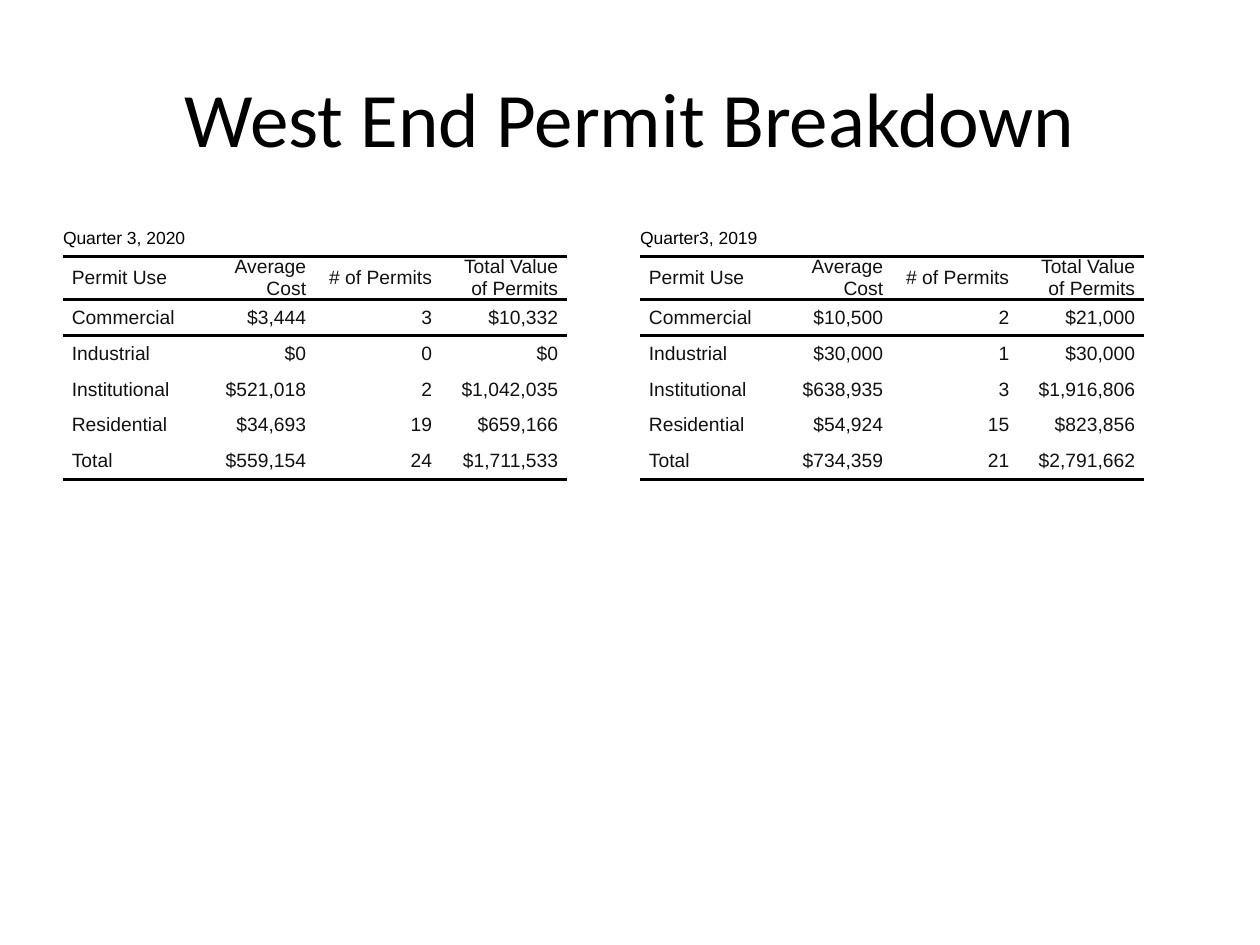
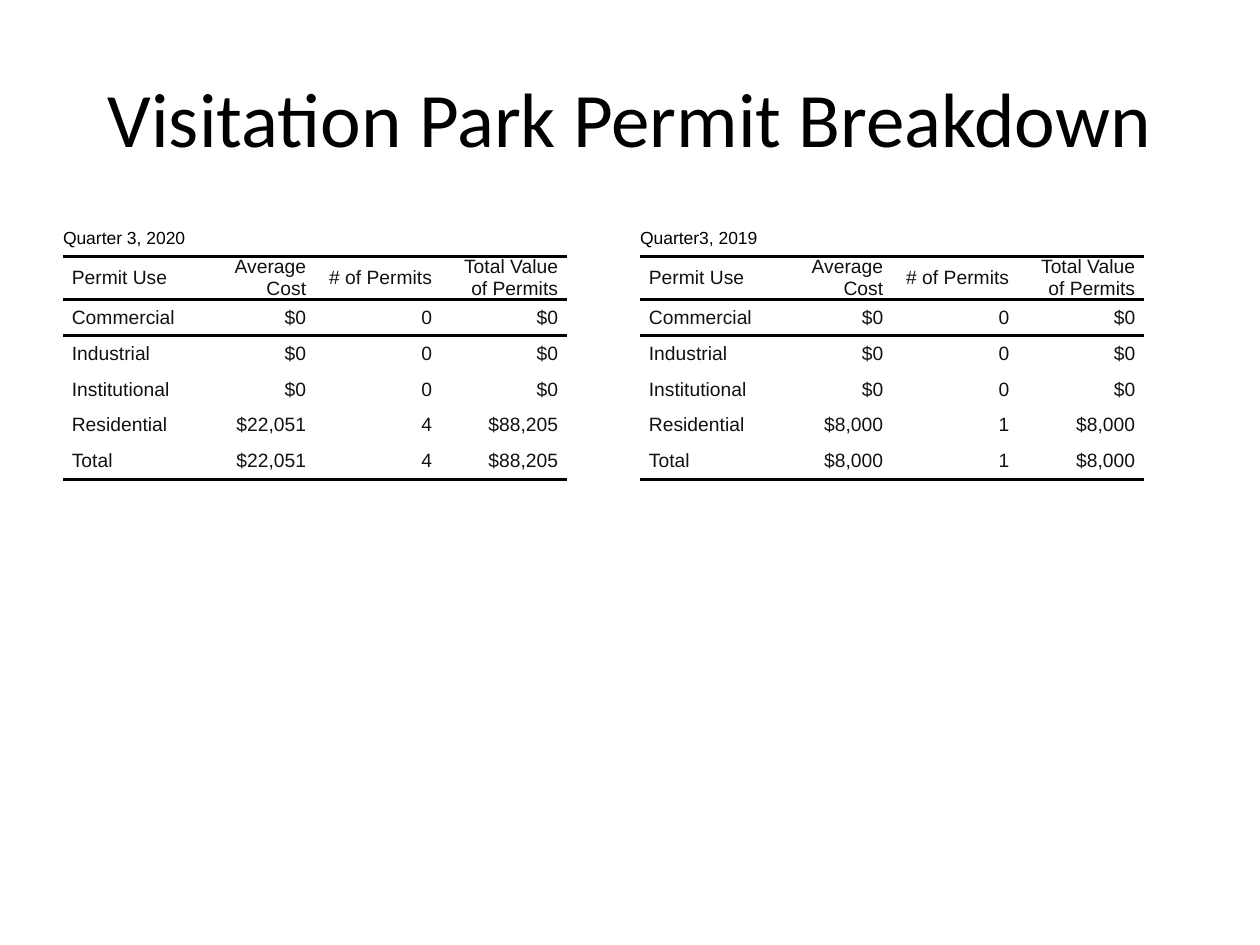
from lxml import etree
from pptx import Presentation
from pptx.dml.color import RGBColor
from pptx.enum.text import MSO_ANCHOR, PP_ALIGN
from pptx.oxml.ns import qn
from pptx.util import Inches, Pt

LEFT, RIGHT, CENTER = PP_ALIGN.LEFT, PP_ALIGN.RIGHT, PP_ALIGN.CENTER
MIDDLE = MSO_ANCHOR.MIDDLE
WIDE, HIGH = Inches(10), Inches(7.5)
EDGE = 0.05
BLACK, INK = "000000", "111111"
PLAIN = "{2D5ABB26-0587-4C30-8999-92F81FD0307C}"
ROWS, COLS = 7, 4
RULES = (1, 2, ROWS)
HEADS = ("Permit Use", "Average Cost", "# of Permits", "Total Value of Permits")
USES = ("Commercial", "Industrial", "Institutional", "Residential", "Total")
TERMS = (("Quarter 3, 2020", EDGE), ("Quarter3, 2019", 0.508))
NONE = ("$0", "0", "$0")
AREAS = (
    ("West End Permit Breakdown", (
        (("$3,444", "3", "$10,332"), NONE, ("$521,018", "2", "$1,042,035"),
         ("$34,693", "19", "$659,166"), ("$559,154", "24", "$1,711,533")),
        (("$10,500", "2", "$21,000"), ("$30,000", "1", "$30,000"),
         ("$638,935", "3", "$1,916,806"), ("$54,924", "15", "$823,856"),
         ("$734,359", "21", "$2,791,662")))),
    ("Visitation Park Permit Breakdown", (
        (NONE,) * 3 + (("$22,051", "4", "$88,205"),) * 2,
        (NONE,) * 3 + (("$8,000", "1", "$8,000"),) * 2)),
)


def color(code):
    """Turn a hex string into a colour."""
    return RGBColor.from_string(code)


def style(para, font, size, code, align):
    """Format a paragraph and its runs."""
    para.alignment = align
    for run in para.runs:
        run.font.name = font
        run.font.size = Pt(size)
        run.font.color.rgb = color(code)


def add_title(slide, text):
    """Fill and place the title."""
    title = slide.shapes.title
    title.left, title.top = int(WIDE * EDGE), int(HIGH * 0.04)
    title.width, title.height = int(WIDE * 0.9), Inches(1.25)
    frame = title.text_frame
    frame.text = text
    frame.vertical_anchor = MIDDLE
    style(frame.paragraphs[0], "Calibri", 44, BLACK, CENTER)


def add_rule(cell, side):
    """Draw a black line on one side of a cell."""
    props = cell._tc.get_or_add_tcPr()
    line = etree.SubElement(props, qn(f"a:ln{side}"), w=str(Pt(2)))
    fill = etree.SubElement(line, qn("a:solidFill"))
    etree.SubElement(fill, qn("a:srgbClr"), val=BLACK)


def set_cell(cell, text, row, col):
    """Write one cell with its rules and alignment."""
    cell.margin_left = cell.margin_right = cell.margin_top = cell.margin_bottom = 0
    cell.vertical_anchor = MIDDLE
    for side, edge in (("T", row), ("B", row + 1)):
        if edge in RULES:
            add_rule(cell, side)
    cell.fill.background()
    cell.text_frame.text = text
    para = cell.text_frame.paragraphs[0]
    if row:
        props = para._p.get_or_add_pPr()
        for name in ("marL", "marR"):
            props.set(name, str(Inches(0.07)))
        props.set("indent", "0")
    style(para, "Arial", 11 if row else 10, INK if row else BLACK,
          RIGHT if col else LEFT)


def add_grid(slide, term, left, data):
    """Add the permit table of one quarter."""
    frame = slide.shapes.add_table(ROWS, COLS, int(WIDE * left), Inches(1.75),
                                   Inches(COLS), Inches(2))
    table = frame.table
    table.first_row = table.horz_banding = False
    table._tbl.tblPr.find(qn("a:tableStyleId")).text = PLAIN
    table.cell(0, 0).merge(table.cell(0, COLS - 1))
    lines = [(term, "", "", ""), HEADS]
    lines += [(use, *vals) for use, vals in zip(USES, data)]
    for row, line in enumerate(lines):
        for col, text in enumerate(line):
            set_cell(table.cell(row, col), text, row, col)


def main():
    """Build one slide for each area."""
    deck = Presentation()
    deck.slide_width, deck.slide_height = WIDE, HIGH
    for name, grids in AREAS:
        slide = deck.slides.add_slide(deck.slide_layouts[5])
        add_title(slide, name)
        for (term, left), data in zip(TERMS, grids):
            add_grid(slide, term, left, data)
    deck.save("out.pptx")


if __name__ == "__main__":
    main()
